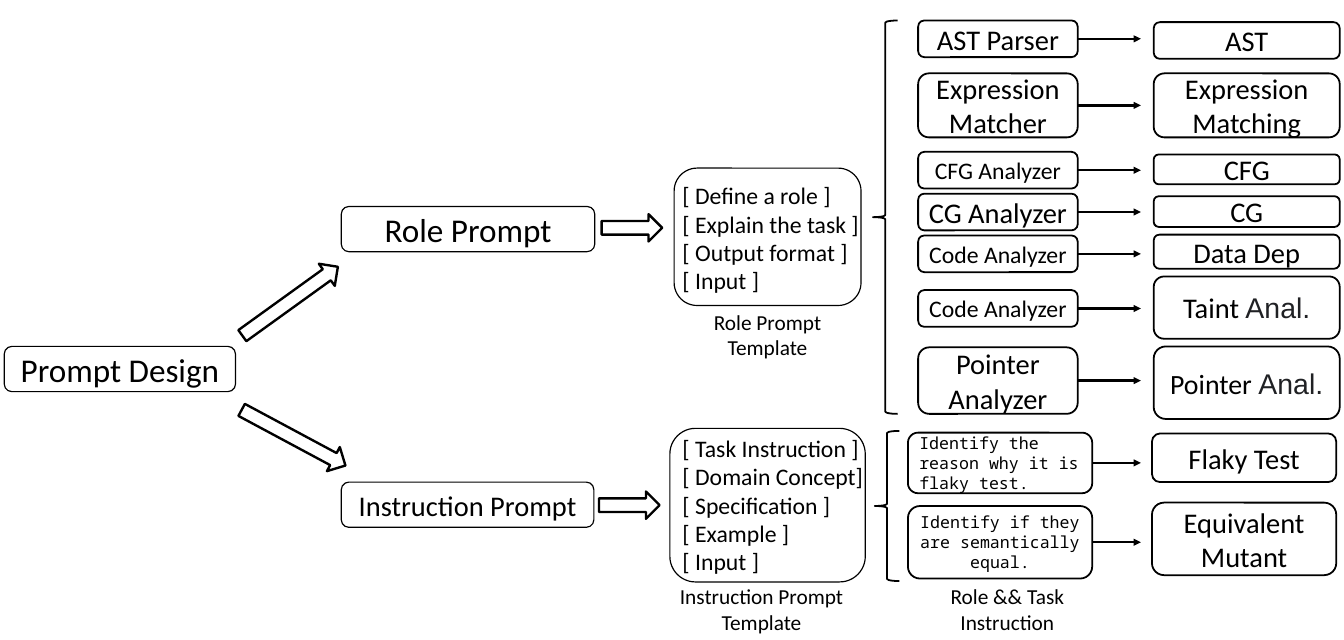
from dataclasses import dataclass

from lxml.etree import SubElement
from pptx import Presentation
from pptx.dml.color import RGBColor
from pptx.enum.shapes import MSO_CONNECTOR, MSO_SHAPE
from pptx.enum.text import MSO_ANCHOR, MSO_AUTO_SIZE, PP_ALIGN
from pptx.oxml.ns import qn
from pptx.util import Inches, Pt

SLIDE_WIDTH, SLIDE_HEIGHT = Inches(15.75), Inches(7.5)
COLUMNS, ROWS = 63, 30
BLACK, CHARCOAL = "000000", "202124"
BODY, SANS, MONO = "Calibri", "Arial", "Noto Sans Mono"
ARROW_END = 53.48


@dataclass(frozen=True)
class Area:
    left: float
    top: float
    width: float
    height: float


@dataclass(frozen=True)
class Run:
    text: str
    size: float = 24
    font: str = BODY
    color: str = BLACK


@dataclass(frozen=True)
class Label:
    paragraphs: tuple[tuple[Run, ...], ...]
    align: PP_ALIGN = PP_ALIGN.CENTER


@dataclass(frozen=True)
class Figure:
    area: Area
    kind: MSO_SHAPE = MSO_SHAPE.ROUNDED_RECTANGLE
    line: float = 1.5
    label: Label | None = None
    rotation: float = 0


@dataclass(frozen=True)
class Caption:
    area: Area
    label: Label


@dataclass(frozen=True)
class Step:
    prompt: Label
    prompt_top: float
    prompt_height: float
    outcome: Label
    outcome_top: float
    outcome_height: float


@dataclass(frozen=True)
class Branch:
    prompt_left: float
    prompt_width: float
    outcome_left: float
    outcome_width: float
    steps: tuple[Step, ...]


def text(words: str, size: float = 24, font: str = BODY, align: PP_ALIGN = PP_ALIGN.CENTER) -> Label:
    return Label(((Run(words, size, font),),), align)


def fields(*names: str) -> Label:
    return Label(tuple((Run(f"[ {name}]", 20),) for name in names), PP_ALIGN.LEFT)


def analysis(*runs: Run) -> Label:
    return Label(((*runs, Run("Anal.", 24, SANS, CHARCOAL)),))


FIGURES = (
    Figure(Area(0.2, 16.24, 10.84, 2.12), line=1, label=text("Prompt Design", 28)),
    Figure(Area(16, 9.68, 11.88, 2.12), line=1, label=text("Role Prompt", 28)),
    Figure(Area(16, 22.6, 11.84, 2.12), line=1, label=text("Instruction Prompt")),
    Figure(Area(31.6, 7.88, 8.76, 6.44), line=1),
    Figure(Area(31.4, 20.08, 9.16, 7.2), line=1),
    Figure(Area(40.92, 0.96, 1.16, 18.44), MSO_SHAPE.LEFT_BRACE),
    Figure(Area(41, 20.2, 1.16, 7.04), MSO_SHAPE.LEFT_BRACE),
    Figure(Area(10.84, 13.48, 5.52, 1.28), MSO_SHAPE.RIGHT_ARROW, 2, rotation=324.2),
    Figure(Area(11, 19.88, 5.52, 1.28), MSO_SHAPE.RIGHT_ARROW, 2, rotation=28.2),
    Figure(Area(28.2, 10.04, 2.84, 1.28), MSO_SHAPE.RIGHT_ARROW, 2),
    Figure(Area(28.08, 23.04, 2.84, 1.28), MSO_SHAPE.RIGHT_ARROW, 2),
)

CAPTIONS = (
    Caption(Area(31.6, 8.28, 9.32, 5.8),
            fields("Define a role ", "Explain the task ", "Output format ", "Input ")),
    Caption(Area(31.6, 20.12, 9.32, 7.12),
            fields("Task Instruction ", "Domain Concept", "Specification ", "Example ", "Input ")),
    Caption(Area(31.32, 14.28, 9.32, 2.84), text("Role Prompt Template", 18)),
    Caption(Area(31.04, 27.16, 9.32, 2.84), text("Instruction Prompt Template", 18)),
    Caption(Area(42.56, 27.16, 9.32, 2.84), text("Role && Task Instruction", 18)),
)

BRANCHES = (
    Branch(43.04, 7.48, 54.08, 8.72, (
        Step(text("AST Parser"), 0.96, 1.72, text("AST"), 1.04, 1.72),
        Step(text("Expression Matcher"), 3.44, 3, text("Expression Matching"), 3.44, 3),
        Step(text("CFG Analyzer", 20), 7.12, 1.72, text("CFG"), 7.24, 1.4),
        Step(text("CG Analyzer"), 9.08, 1.72, text("CG"), 9.2, 1.44),
        Step(text("Code Analyzer", 20), 11.04, 1.72, text("Data Dep"), 11, 1.6),
        Step(text("Code Analyzer", 20), 13.6, 1.72, analysis(Run("Taint ")), 12.96, 2.92),
        Step(text("Pointer Analyzer"), 16.28, 3.12,
             analysis(Run("Pointer", 23.5), Run(" ")), 16.24, 3.4),
    )),
    Branch(42.56, 8.64, 54, 8.64, (
        Step(text("Identify the reason why it is flaky test.", 14, MONO, PP_ALIGN.LEFT), 20.28, 2.84,
             text("Flaky Test"), 20.32, 2.28),
        Step(text("Identify if they are semantically equal.", 14, MONO), 23.72, 3.4,
             text("Equivalent Mutant"), 23.56, 3.4),
    )),
)


def across(columns: float) -> int:
    return round(SLIDE_WIDTH * columns / COLUMNS)


def down(rows: float) -> int:
    return round(SLIDE_HEIGHT * rows / ROWS)


def place(area: Area) -> tuple[int, int, int, int]:
    return across(area.left), down(area.top), across(area.width), down(area.height)


def paint(color_format, color: str) -> None:
    color_format.rgb = RGBColor.from_string(color)


def apply(target, values: dict) -> None:
    for name, value in values.items():
        setattr(target, name, value)


def write(frame, label: Label, frame_format: dict) -> None:
    apply(frame, {"word_wrap": True, **frame_format})
    for index, runs in enumerate(label.paragraphs):
        paragraph = frame.add_paragraph() if index else frame.paragraphs[0]
        paragraph.alignment = label.align
        for run in runs:
            piece = paragraph.add_run()
            piece.text = run.text
            apply(piece.font, {"size": Pt(run.size), "name": run.font})
            paint(piece.font.color, run.color)


def draw_figure(shapes, figure: Figure) -> None:
    outline = shapes.add_shape(figure.kind, *place(figure.area))
    outline.rotation = figure.rotation
    outline.shadow.inherit = False
    outline.fill.background()
    outline.line.width = Pt(figure.line)
    paint(outline.line.color, BLACK)
    if figure.label:
        write(outline.text_frame, figure.label, {"vertical_anchor": MSO_ANCHOR.MIDDLE})


def draw_caption(shapes, caption: Caption) -> None:
    frame = shapes.add_textbox(*place(caption.area)).text_frame
    write(frame, caption.label, {"auto_size": MSO_AUTO_SIZE.SHAPE_TO_FIT_TEXT})


def draw_arrow(shapes, start: float, end: float, row: float) -> None:
    arrow = shapes.add_connector(MSO_CONNECTOR.STRAIGHT, across(start), down(row), across(end), down(row))
    arrow.line.width = Pt(2)
    paint(arrow.line.color, BLACK)
    SubElement(arrow.line._get_or_add_ln(), qn("a:tailEnd"), type="triangle")
    SubElement(arrow._element.spPr, qn("a:effectLst"))


def draw_branch(shapes, branch: Branch) -> None:
    for step in branch.steps:
        prompt = Area(branch.prompt_left, step.prompt_top, branch.prompt_width, step.prompt_height)
        outcome = Area(branch.outcome_left, step.outcome_top, branch.outcome_width, step.outcome_height)
        draw_figure(shapes, Figure(prompt, label=step.prompt))
        draw_figure(shapes, Figure(outcome, label=step.outcome))
        draw_arrow(shapes, prompt.left + prompt.width, ARROW_END, prompt.top + prompt.height / 2)


def main() -> None:
    deck = Presentation()
    apply(deck, {"slide_width": SLIDE_WIDTH, "slide_height": SLIDE_HEIGHT})
    shapes = deck.slides.add_slide(deck.slide_layouts[6]).shapes
    for figure in FIGURES:
        draw_figure(shapes, figure)
    for caption in CAPTIONS:
        draw_caption(shapes, caption)
    for branch in BRANCHES:
        draw_branch(shapes, branch)
    deck.save("out.pptx")


if __name__ == "__main__":
    main()
